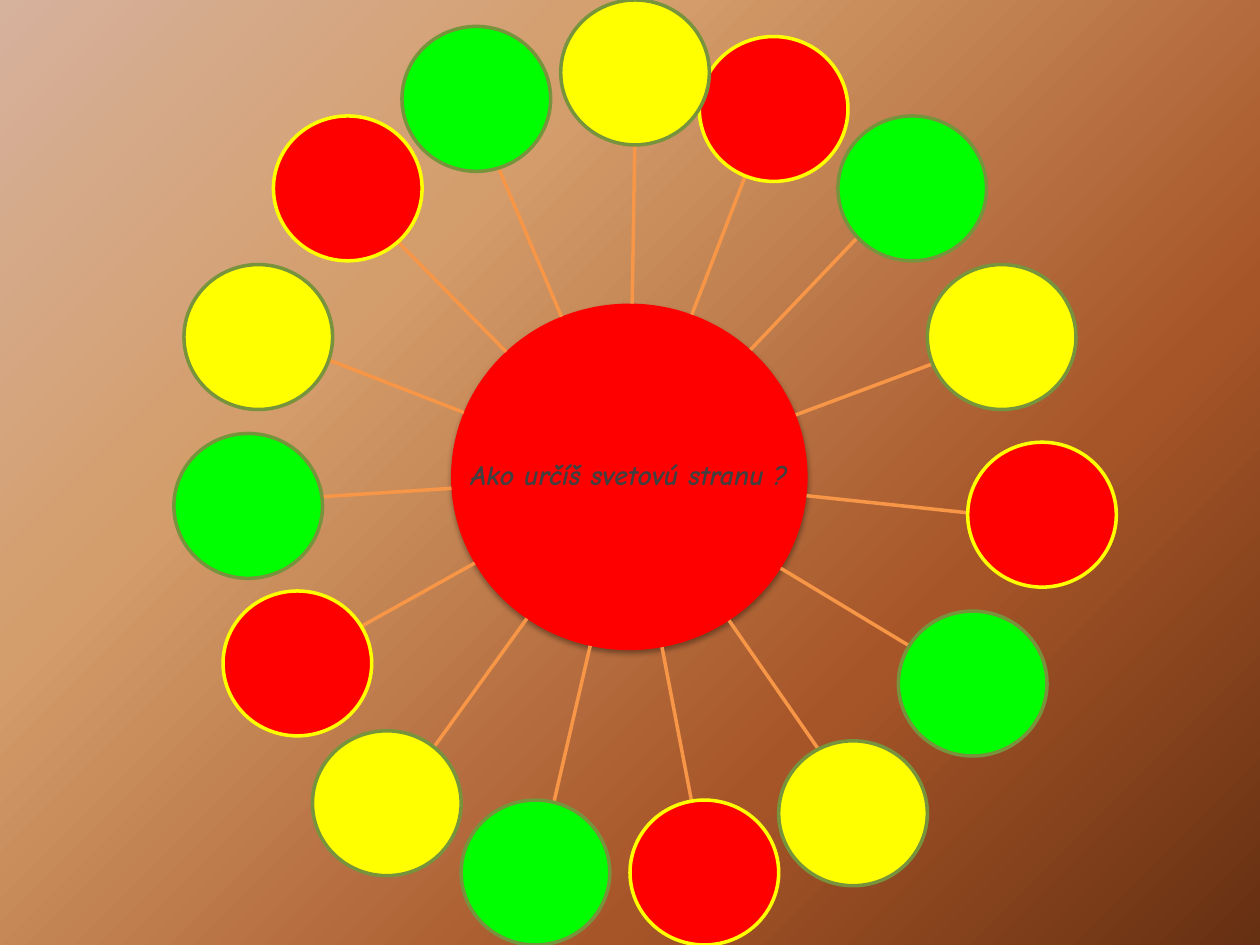
import itertools
import math

import pptx
import pptx.dml.color
import pptx.enum.shapes
import pptx.enum.text
import pptx.oxml
import pptx.oxml.ns
import pptx.util
from pptx.util import Inches

COLORS = {
    "red": "FF0000",
    "green": "00FF00",
    "yellow": "FFFF00",
    "olive": "77933C",
    "spoke": "F79646",
    "question": "404040",
    "shadow": "000000",
}
BACKGROUND_STOPS = [(0, "D6B19C"), (30, "D49E6C"), (70, "A65528"), (100, "663012")]

HUB = (3.58, 2.41, 2.83, 2.75)
DISC_SIZE = (1.18, 1.15)
# Fill and outline, repeated clockwise around the wheel
DISC_STYLES = [("red", "yellow"), ("green", "olive"), ("yellow", "olive")]
# Clockwise from the upper right: disc left and top, spoke tip x and y
WHEEL = [
    (5.55, 0.29, 5.96, 1.28),
    (6.65, 0.92, 6.82, 1.87),
    (7.36, 2.1, 7.45, 2.87),
    (7.68, 3.51, 7.68, 4.07),
    (7.13, 4.85, 7.29, 5.17),
    (6.18, 5.88, 6.54, 6.01),
    (5, 6.35, 5.51, 6.47),
    (3.66, 6.35, 4.37, 6.48),
    (2.48, 5.8, 3.4, 5.99),
    (1.77, 4.69, 2.78, 5.02),
    (1.38, 3.44, 2.43, 3.95),
    (1.46, 2.1, 2.54, 2.83),
    (2.17, 0.92, 3.09, 1.85),
    (3.19, 0.21, 3.93, 1.27),
    (4.45, 0, 5.04, 1.03),
]


def rgb(name):
    return pptx.dml.color.RGBColor.from_string(COLORS[name])


def paint_background(slide):
    fill = slide.background.fill
    fill.gradient()
    fill.gradient_angle = 315
    stops = slide.element.find(".//" + pptx.oxml.ns.qn("a:gsLst"))
    for stop in list(stops):
        stops.remove(stop)
    for percent, color in BACKGROUND_STOPS:
        stops.append(pptx.oxml.parse_xml(
            f'<a:gs {pptx.oxml.ns.nsdecls("a")} pos="{percent * 1000}">'
            f'<a:srgbClr val="{color}"/></a:gs>'))


def add_disc(slide, left, top, width, height, fill, outline=None):
    disc = slide.shapes.add_shape(
        pptx.enum.shapes.MSO_SHAPE.OVAL,
        Inches(left), Inches(top), Inches(width), Inches(height))
    disc.shadow.inherit = False
    disc.fill.solid()
    disc.fill.fore_color.rgb = rgb(fill)
    if outline:
        disc.line.color.rgb = rgb(outline)
        disc.line.width = pptx.util.Pt(2)
    else:
        disc.line.fill.background()
    return disc


def add_drop_shadow(disc):
    effects = disc.element.spPr.find(pptx.oxml.ns.qn("a:effectLst"))
    effects.append(pptx.oxml.parse_xml(
        f'<a:outerShdw {pptx.oxml.ns.nsdecls("a")} blurRad="40000" dist="23000" '
        f'dir="5400000" rotWithShape="0"><a:srgbClr val="{COLORS["shadow"]}">'
        '<a:alpha val="35000"/></a:srgbClr></a:outerShdw>'))


def add_question(slide, text):
    box = slide.shapes.add_textbox(*(Inches(length) for length in HUB))
    frame = box.text_frame
    frame.word_wrap = True
    frame.vertical_anchor = pptx.enum.text.MSO_ANCHOR.MIDDLE
    frame.margin_left = frame.margin_right = Inches(0.01)
    frame.margin_top = frame.margin_bottom = Inches(0.01)
    frame.text = text
    question = frame.paragraphs[0]
    question.alignment = pptx.enum.text.PP_ALIGN.CENTER
    question.line_spacing = 0.9
    font = question.runs[0].font
    font.name = "Comic Neue"
    font.size = pptx.util.Pt(16)
    font.bold = font.italic = True
    font.color.rgb = rgb("question")


def add_spoke(slide, tip_x, tip_y):
    """Draw a line from the hub's edge, aimed away from its centre, to the tip."""
    left, top, width, height = HUB
    center_x, center_y = left + width / 2, top + height / 2
    dx, dy = tip_x - center_x, tip_y - center_y
    edge = 1 / math.hypot(dx / (width / 2), dy / (height / 2))
    spoke = slide.shapes.add_connector(
        pptx.enum.shapes.MSO_CONNECTOR.STRAIGHT,
        Inches(center_x + edge * dx), Inches(center_y + edge * dy),
        Inches(tip_x), Inches(tip_y))
    spoke.line.color.rgb = rgb("spoke")
    spoke.line.width = pptx.util.Pt(2)
    spoke.element.spPr.append(pptx.oxml.parse_xml(
        f'<a:effectLst {pptx.oxml.ns.nsdecls("a")}/>'))


def main():
    deck = pptx.Presentation()
    deck.slide_width, deck.slide_height = Inches(10), Inches(7.5)
    slide = deck.slides.add_slide(deck.slide_layouts[6])
    paint_background(slide)

    # Hub with the question
    add_drop_shadow(add_disc(slide, *HUB, "red"))
    add_question(slide, "Ako určíš svetovú stranu ?")

    # Spokes, then the ring of discs over their tips
    for _, _, tip_x, tip_y in WHEEL:
        add_spoke(slide, tip_x, tip_y)
    for (left, top, _, _), style in zip(WHEEL, itertools.cycle(DISC_STYLES)):
        add_disc(slide, left, top, *DISC_SIZE, *style)

    deck.save("out.pptx")


if __name__ == "__main__":
    main()
